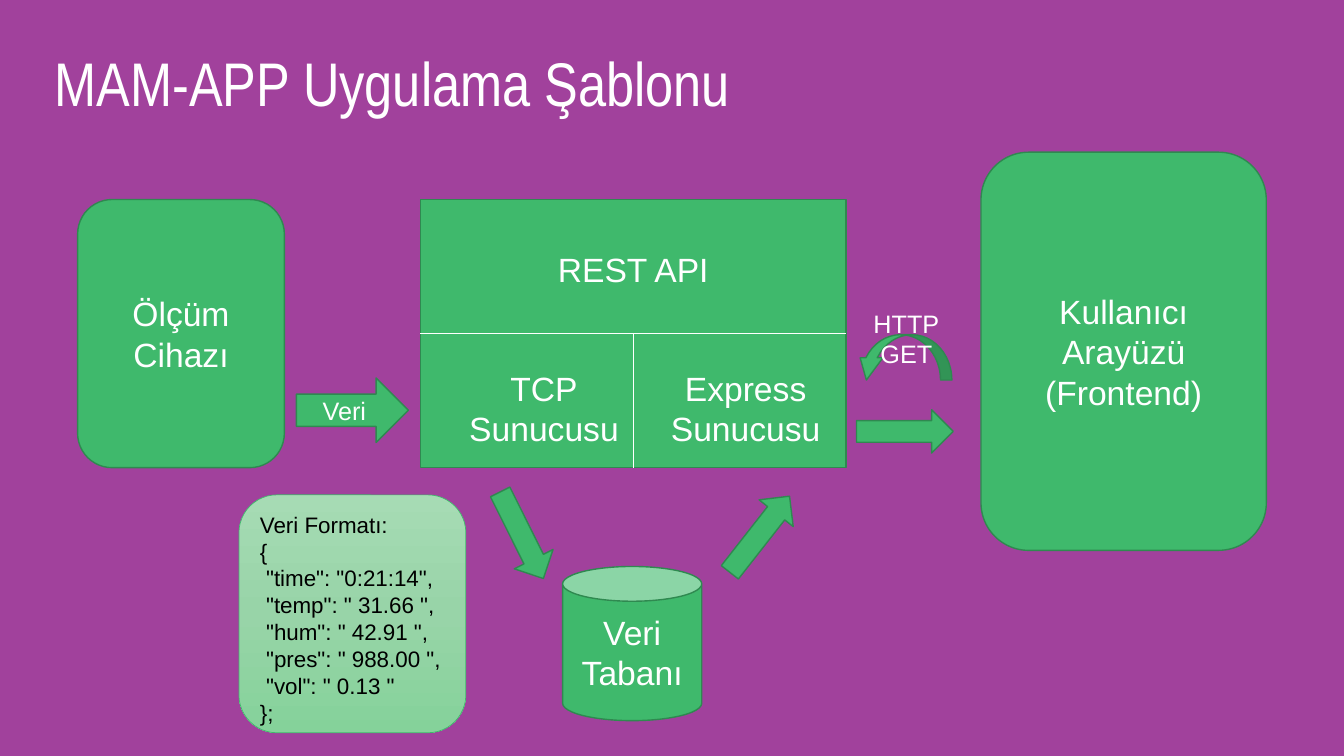
import copy
from dataclasses import dataclass

import lxml.etree
import pptx
import pptx.dml.color
import pptx.enum.shapes
import pptx.enum.text
import pptx.oxml
import pptx.oxml.ns
import pptx.util

Inches = pptx.util.Inches
SHAPE = pptx.enum.shapes.MSO_SHAPE
ALIGN = pptx.enum.text.PP_ALIGN
ANCHOR = pptx.enum.text.MSO_ANCHOR

COLORS = {
    "background": "A1419C",
    "block": "3FB96C",
    "outline": "2F8950",
    "white": "FFFFFF",
    "black": "000000",
}
FORMAT_GRADIENT = [(0, "A6DBB4"), (0.5, "98D4A8"), (1, "85D29A")]

DATA_FORMAT = """Veri Formatı:
{
 "time": "0:21:14",
 "temp": " 31.66 ",
 "hum": " 42.91 ",
 "pres": " 988.00 ",
 "vol": " 0.13 "
};"""


@dataclass(frozen=True)
class Box:
    left: float
    top: float
    width: float
    height: float

    def lengths(self) -> list:
        return [Inches(n) for n in (self.left, self.top, self.width, self.height)]


@dataclass(frozen=True)
class Block:
    kind: int
    box: Box
    text: str = ""
    size: int = 24
    rotation: float = 0
    adjustments: tuple = ()


@dataclass(frozen=True)
class Label:
    box: Box
    text: str
    size: int = 24


API = Box(4.17, 1.98, 4.22, 2.66)
API_MIDDLE = API.top + API.height / 2
API_CENTER = API.left + API.width / 2

BLOCKS = [
    Block(SHAPE.ROUNDED_RECTANGLE, Box(0.77, 1.98, 2.05, 2.66), "Ölçüm Cihazı"),
    Block(SHAPE.CAN, Box(5.58, 5.62, 1.38, 1.53), "Veri Tabanı"),
    Block(SHAPE.ROUNDED_RECTANGLE, Box(9.73, 1.51, 2.83, 3.95),
          "Kullanıcı Arayüzü\n(Frontend)"),
    Block(SHAPE.RIGHT_ARROW, Box(2.94, 3.75, 1.11, 0.64), "Veri", size=18),
    Block(SHAPE.DOWN_ARROW, Box(4.96, 4.83, 0.43, 0.96), rotation=333.5),
    Block(SHAPE.DOWN_ARROW, Box(7.32, 4.82, 0.43, 0.96), rotation=218.1),
    Block(SHAPE.DOWN_ARROW, Box(8.76, 3.8, 0.43, 0.96), rotation=270),
    Block(SHAPE.CURVED_UP_ARROW, Box(8.48, 3.32, 0.96, 0.45), rotation=180,
          adjustments=(0.25, 0.5, 0.49)),
]
LABELS = [
    Label(Box(4.52, 3.6, 1.75, 0.9), "TCP\nSunucusu"),
    Label(Box(6.52, 3.6, 1.75, 0.9), "Express\nSunucusu"),
    Label(Box(8.56, 3, 0.86, 0.71), "HTTP\nGET", size=18),
]


def rgb(value: str) -> pptx.dml.color.RGBColor:
    return pptx.dml.color.RGBColor.from_string(value)


def write_text(shape, text: str, *, size: int = 24, color: str = "white",
               font: str = "Arial", align=ALIGN.CENTER, anchor=ANCHOR.MIDDLE,
               spacing: float = 1.0) -> None:
    frame = shape.text_frame
    frame.text = text
    frame.word_wrap = True
    frame.auto_size = pptx.enum.text.MSO_AUTO_SIZE.NONE
    frame.vertical_anchor = anchor
    for paragraph in frame.paragraphs:
        paragraph.alignment = align
        paragraph.line_spacing = spacing
        for run in paragraph.runs:
            run.font.name = font
            run.font.size = pptx.util.Pt(size)
            run.font.color.rgb = rgb(COLORS[color])


def add_block(slide, block: Block):
    shape = slide.shapes.add_shape(block.kind, *block.box.lengths())
    shape.shadow.inherit = False
    shape.fill.solid()
    shape.fill.fore_color.rgb = rgb(COLORS["block"])
    shape.line.color.rgb = rgb(COLORS["outline"])
    shape.line.width = pptx.util.Pt(1)
    shape.rotation = block.rotation
    for index, value in enumerate(block.adjustments):
        shape.adjustments[index] = value
    if block.text:
        write_text(shape, block.text, size=block.size)
    return shape


def add_label(slide, label: Label) -> None:
    shape = slide.shapes.add_textbox(*label.box.lengths())
    write_text(shape, label.text, size=label.size)


def add_divider(slide, start: tuple, end: tuple) -> None:
    points = [Inches(n) for n in (*start, *end)]
    divider = slide.shapes.add_connector(
        pptx.enum.shapes.MSO_CONNECTOR.STRAIGHT, *points)
    divider.line.color.rgb = rgb(COLORS["white"])
    divider.line.width = pptx.util.Pt(0.5)
    properties = divider._element.spPr
    lxml.etree.SubElement(properties, pptx.oxml.ns.qn("a:effectLst"))


def fill_gradient(shape, stops: list) -> None:
    shape.fill.gradient()
    shape.fill.gradient_angle = 270
    stop_list = shape._element.spPr.find(".//" + pptx.oxml.ns.qn("a:gsLst"))
    while len(stop_list) < len(stops):
        stop_list.append(copy.deepcopy(stop_list[0]))
    for stop, (position, color) in zip(shape.fill.gradient_stops, stops):
        stop.position = position
        stop.color.rgb = rgb(color)


def main() -> None:
    presentation = pptx.Presentation()
    presentation.slide_width = Inches(13.33)
    presentation.slide_height = Inches(7.5)
    slide = presentation.slides.add_slide(presentation.slide_layouts[5])
    slide.background.fill.solid()
    slide.background.fill.fore_color.rgb = rgb(COLORS["background"])

    # Title
    title = slide.shapes.title
    title.left, title.top, title.width, title.height = Box(
        0.44, 0.48, 12.45, 0.77).lengths()
    write_text(title, "MAM-APP Uygulama Şablonu", size=44, font="Arial Narrow",
               align=ALIGN.LEFT, anchor=ANCHOR.TOP, spacing=0.9)

    # Server with its heading in the upper half and two parts below
    server = add_block(slide, Block(SHAPE.RECTANGLE, API, "REST API"))
    server.text_frame.margin_bottom = Inches(API.height / 2)
    add_divider(slide, (API.left, API_MIDDLE), (API.left + API.width, API_MIDDLE))
    add_divider(slide, (API_CENTER, API_MIDDLE), (API_CENTER, API.top + API.height))

    # Components, arrows and their labels
    for block in BLOCKS:
        add_block(slide, block)
    for label in LABELS:
        add_label(slide, label)

    # Data format card
    card = add_block(slide, Block(SHAPE.ROUNDED_RECTANGLE, Box(2.37, 4.91, 2.25, 2.36)))
    fill_gradient(card, FORMAT_GRADIENT)
    card.line.color.rgb = rgb(COLORS["block"])
    card.line.width = pptx.util.Pt(0.5)
    write_text(card, DATA_FORMAT, size=16, color="black",
               align=ALIGN.LEFT, anchor=ANCHOR.TOP)

    presentation.save("out.pptx")


if __name__ == "__main__":
    main()
